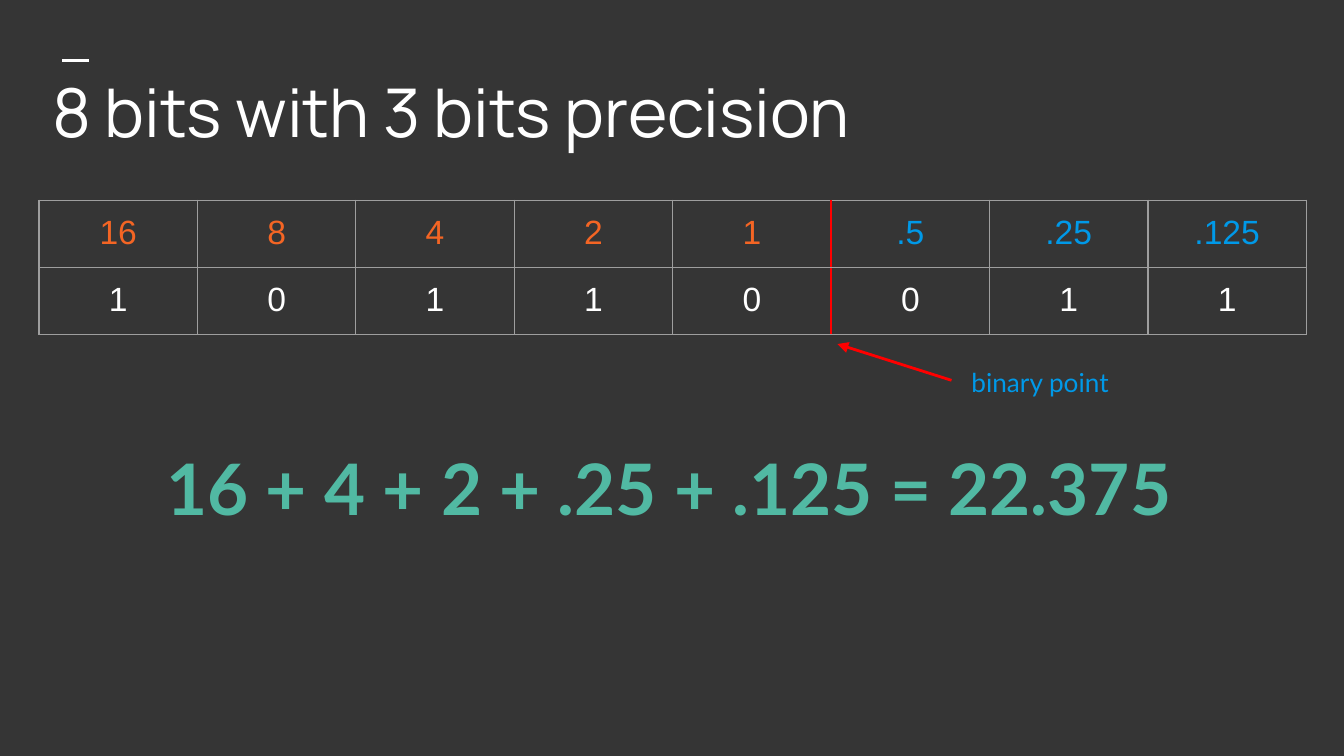
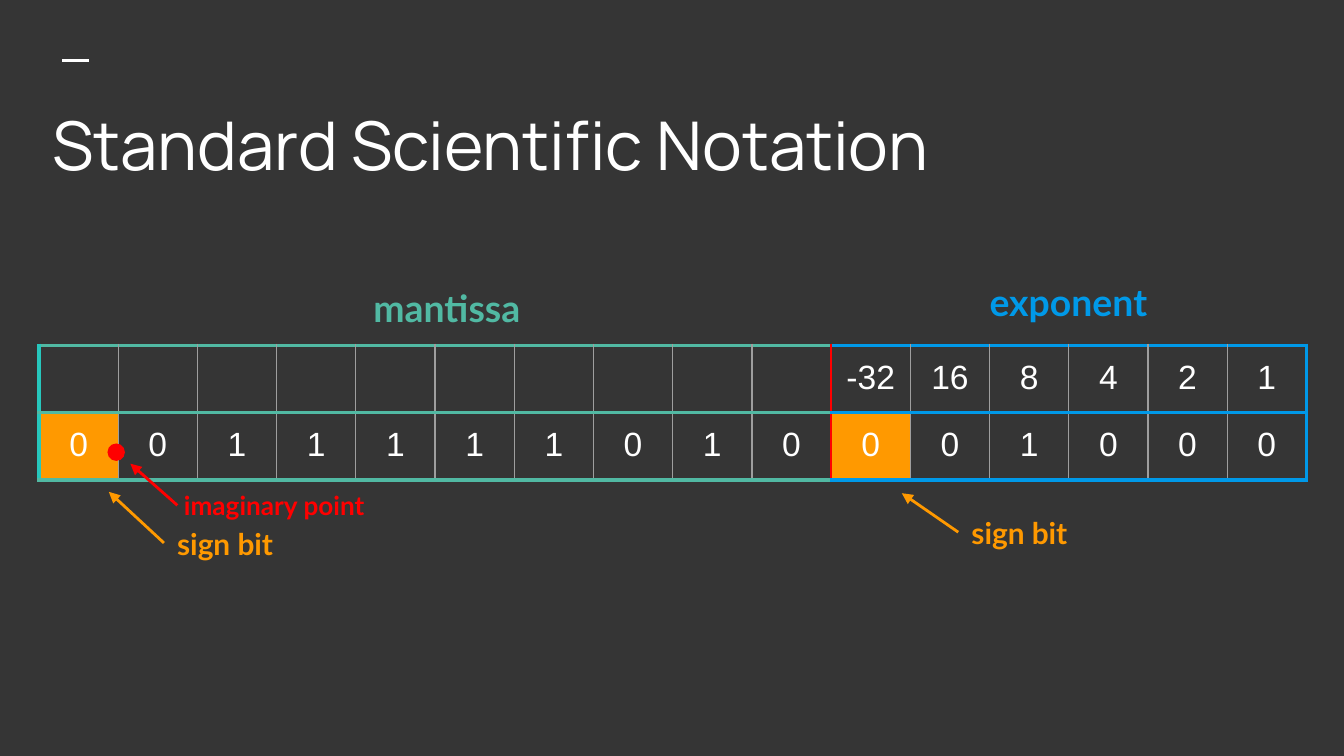
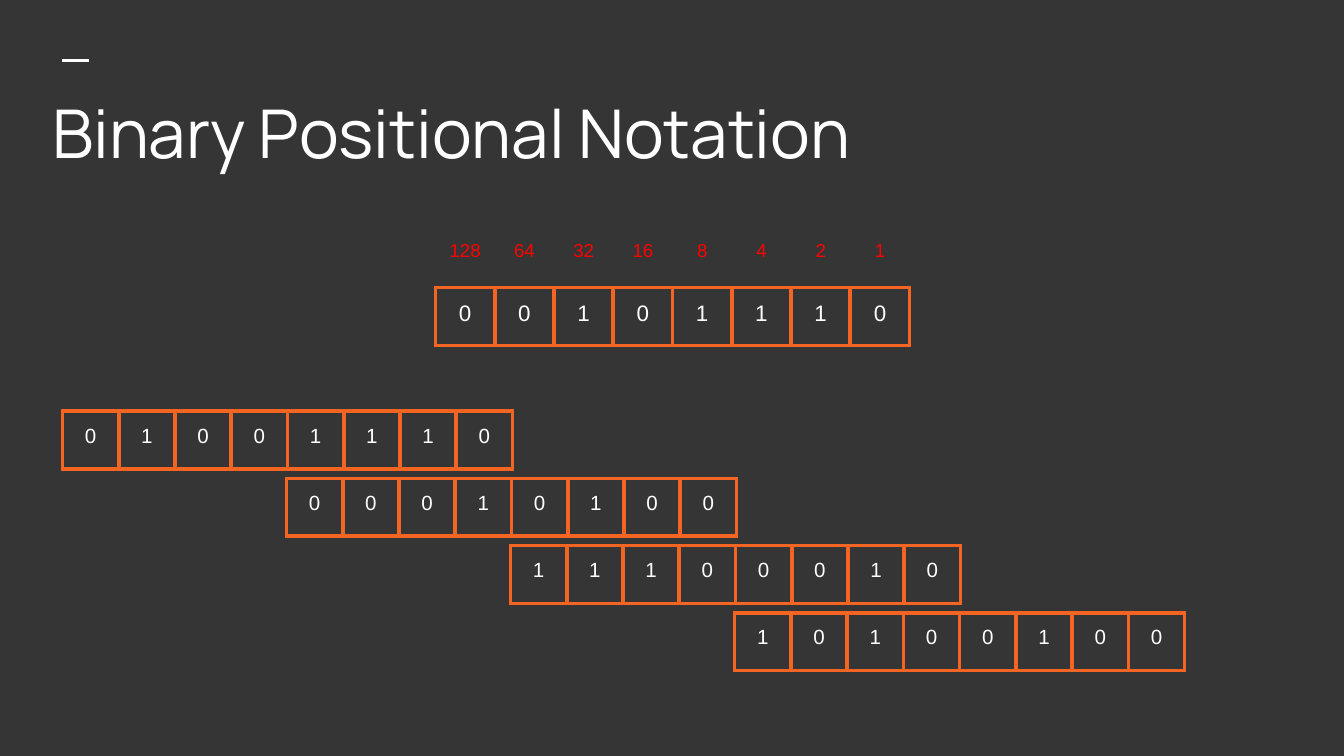
from lxml import etree
from pptx import Presentation
from pptx.dml.color import RGBColor
from pptx.enum.shapes import MSO_CONNECTOR, MSO_SHAPE
from pptx.enum.text import MSO_ANCHOR, PP_ALIGN
from pptx.oxml.ns import qn
from pptx.util import Inches, Pt

CELL = Inches(0.1)
SLIDE_COLS, SLIDE_ROWS = 100, 56.25
LEFT, CONTENT_W = 2.9, 94.3
PAD = 1
TITLE_H = 7.8

DARK = RGBColor(0x35, 0x35, 0x35)
WHITE = RGBColor(0xFF, 0xFF, 0xFF)
GREY = RGBColor(0x9E, 0x9E, 0x9E)
RED = RGBColor(0xFF, 0x00, 0x00)
ORANGE = RGBColor(0xF4, 0x65, 0x24)
AMBER = RGBColor(0xFF, 0x99, 0x00)
BLUE = RGBColor(0x00, 0x99, 0xE8)
GREEN = RGBColor(0x51, 0xB9, 0xA3)
TEAL = RGBColor(0x27, 0xC7, 0xBD)

LATO, MANROPE, ARIAL = "Lato", "Manrope", "Arial"
CENTER, ALIGN_LEFT = PP_ALIGN.CENTER, PP_ALIGN.LEFT
MIDDLE, TOP = MSO_ANCHOR.MIDDLE, MSO_ANCHOR.TOP
STRAIGHT, OVAL = MSO_CONNECTOR.STRAIGHT, MSO_SHAPE.OVAL

THIN_GREY = (GREY, 0.75)
POINT_RED = (RED, 1.5)
THICK_ORANGE = (ORANGE, 2.25)
THICK_BLUE = (BLUE, 2.25)
THICK_GREEN = (GREEN, 2.25)
THICK_TEAL = (TEAL, 2.25)
EDGE_TAGS = {"left": "a:lnL", "right": "a:lnR", "top": "a:lnT", "bottom": "a:lnB"}


def grid(*counts):
    """Turn counts of grid cells into lengths."""
    return [int(n * CELL) for n in counts]


def write(tf, text, font=LATO, size=14, color=WHITE, bold=False,
          align=ALIGN_LEFT, after=0):
    """Put one formatted paragraph into a text frame."""
    p = tf.paragraphs[0]
    p.alignment = align
    p.space_after = Pt(after)
    r = p.add_run()
    r.text = text
    r.font.name = font
    r.font.size = Pt(size)
    r.font.bold = bold
    r.font.color.rgb = color


def add_text(s, text, box, anchor=TOP, **fmt):
    """Add a wrapping text box."""
    tf = s.shapes.add_textbox(*grid(*box)).text_frame
    tf.word_wrap = True
    tf.vertical_anchor = anchor
    tf.margin_left, tf.margin_top, tf.margin_right, tf.margin_bottom = grid(*[PAD] * 4)
    write(tf, text, **fmt)


def add_line(s, start, end, color, arrow=False):
    """Add a straight line, with an arrowhead at its end if asked."""
    sp = s.shapes.add_connector(STRAIGHT, *grid(*start, *end))
    sp.line.color.rgb = color
    sp.line.width = Pt(1.5)
    if arrow:
        etree.SubElement(sp.line._get_or_add_ln(), qn("a:tailEnd"), type="triangle")
    etree.SubElement(sp._element.spPr, qn("a:effectLst"))


def add_dot(s, x, y, size, color):
    """Add a filled circle without outline."""
    sp = s.shapes.add_shape(OVAL, *grid(x, y, size, size))
    sp.shadow.inherit = False
    sp.fill.solid()
    sp.fill.fore_color.rgb = color
    sp.line.fill.background()


def set_edges(cell, edges):
    """Draw the given cell edges and hide the others."""
    tc_pr = cell._tc.get_or_add_tcPr()
    for i, (side, tag) in enumerate(EDGE_TAGS.items()):
        ln = etree.Element(qn(tag))
        tc_pr.insert(i, ln)
        if side not in edges:
            etree.SubElement(ln, qn("a:noFill"))
            continue
        color, width = edges[side]
        ln.set("w", str(Pt(width)))
        fill = etree.SubElement(ln, qn("a:solidFill"))
        etree.SubElement(fill, qn("a:srgbClr"), val=str(color))


def add_bits(s, rows, x, y, width, heights, style):
    """Add a table of bits; style(row, col) gives edges, fill and text format."""
    n = len(rows[0])
    frame = s.shapes.add_table(len(rows), n, *grid(x, y, width, sum(heights)))
    table = frame.table
    table.first_row = table.horz_banding = False
    for col in table.columns:
        col.width = grid(width / n)[0]
    for i, values in enumerate(rows):
        table.rows[i].height = grid(heights[i])[0]
        for j, value in enumerate(values):
            edges, fill, fmt = style(i, j)
            cell = table.cell(i, j)
            (cell.margin_left, cell.margin_top,
             cell.margin_right, cell.margin_bottom) = grid(*[PAD] * 4)
            if fill is None:
                cell.fill.background()
            else:
                cell.fill.solid()
                cell.fill.fore_color.rgb = fill
            set_edges(cell, edges)
            write(cell.text_frame, value, font=ARIAL, align=CENTER, **fmt)


def all_edges(edge):
    """Use one edge on every side."""
    return dict.fromkeys(EDGE_TAGS, edge)


def fixed_point_style(i, j):
    """Style the fixed-point table, whose binary point follows column 4."""
    edges = all_edges(THIN_GREY)
    if j in (4, 5):
        edges["right" if j == 4 else "left"] = POINT_RED
    header = ORANGE if j < 5 else BLUE
    return edges, None, dict(size=18, color=WHITE if i else header)


def scientific_style(i, j):
    """Style the mantissa (10 columns) and the exponent (6 columns)."""
    band = THICK_GREEN if j < 10 else THICK_BLUE
    left = {0: THICK_TEAL, 10: POINT_RED}.get(j, THIN_GREY)
    right = {9: POINT_RED, 15: THICK_BLUE}.get(j, THIN_GREY)
    edges = dict(left=left, right=right, top=band, bottom=band)
    fill = AMBER if i == 1 and j in (0, 10) else None
    return edges, fill, dict(size=18)


def place_value_style(i, j):
    """Style a row of place values above a row of boxed bits."""
    if i == 0:
        return dict(bottom=THICK_ORANGE), None, dict(size=10, color=RED)
    return all_edges(THICK_ORANGE), None, dict(size=12)


def byte_style(i, j):
    """Style a single row of boxed bits."""
    return all_edges(THICK_ORANGE), None, dict(size=11)


def add_slide(prs, title, title_y):
    """Add a blank slide with the short rule and the title."""
    s = prs.slides.add_slide(prs.slide_layouts[6])
    add_line(s, (4.65, 4.5), (6.65, 4.5), WHITE)
    add_text(s, title, (LEFT, title_y, CONTENT_W, TITLE_H), anchor=MIDDLE,
             font=MANROPE, size=36, after=10)
    return s


def fixed_point_slide(prs):
    """Show an 8-bit number with three fractional bits."""
    s = add_slide(prs, "8 bits with 3 bits precision", 4.3)
    rows = [["16", "8", "4", "2", "1", ".5", ".25", ".125"], "10110011"]
    add_bits(s, rows, LEFT, 14.9, CONTENT_W, [4.6, 4.6], fixed_point_style)
    add_text(s, "16 + 4 + 2 + .25 + .125 = 22.375", (8, 32.1, 83.6, 8.4),
             size=38, color=GREEN, bold=True, align=CENTER)
    add_line(s, (70.8, 28.3), (62.3, 25.6), RED, arrow=True)
    add_text(s, "binary point", (71.3, 26.3, 12.9, 4.4), color=BLUE)


def scientific_slide(prs):
    """Show the mantissa and exponent of a 16-bit number."""
    s = add_slide(prs, "Standard Scientific Notation", 6.8)
    rows = [[""] * 10 + ["-32", "16", "8", "4", "2", "1"], "0011111010001000"]
    add_bits(s, rows, LEFT, 25.7, CONTENT_W, [4.6, 4.6], scientific_style)
    add_dot(s, 8, 33, 1.3, RED)
    for text, box, color in (("mantissa", (3.8, 20.2, 58.9, 5.4), GREEN),
                             ("exponent", (61.8, 19.8, 35.4, 5.4), BLUE)):
        add_text(s, text, box, size=20, color=color, bold=True, align=CENTER)
    for text, box, size, color, start, end in (
            ("sign bit", (12.2, 38.1, 12.3, 4.7), 16, AMBER, (12.2, 40.4), (8.1, 36.6)),
            ("sign bit", (71.3, 37.3, 12.3, 4.7), 16, AMBER, (71.3, 39.6), (67.1, 36.7)),
            ("imaginary point", (12.7, 35.4, 16.5, 4.4), 14, RED, (13.2, 37.6), (9.7, 34.5))):
        add_line(s, start, end, color, arrow=True)
        add_text(s, text, box, size=size, color=color, bold=True)


def positional_slide(prs):
    """Show place values and a staircase of bytes."""
    s = add_slide(prs, "Binary Positional Notation", 5.9)
    places = [str(2 ** n) for n in range(7, -1, -1)]
    add_bits(s, [places, "00101110"], 32.4, 16.9, 35.3, [4.5, 4.3], place_value_style)
    for n, bits in enumerate(("01001110", "00010100", "11100010", "10100100")):
        add_bits(s, [bits], 4.65 + n * 16.67, 30.6 + n * 5, 33.5, [4.3], byte_style)


def main():
    """Build and save the deck."""
    prs = Presentation()
    prs.slide_width, prs.slide_height = grid(SLIDE_COLS, SLIDE_ROWS)
    fill = prs.slide_master.background.fill
    fill.solid()
    fill.fore_color.rgb = DARK
    fixed_point_slide(prs)
    scientific_slide(prs)
    positional_slide(prs)
    prs.save("out.pptx")


if __name__ == "__main__":
    main()
